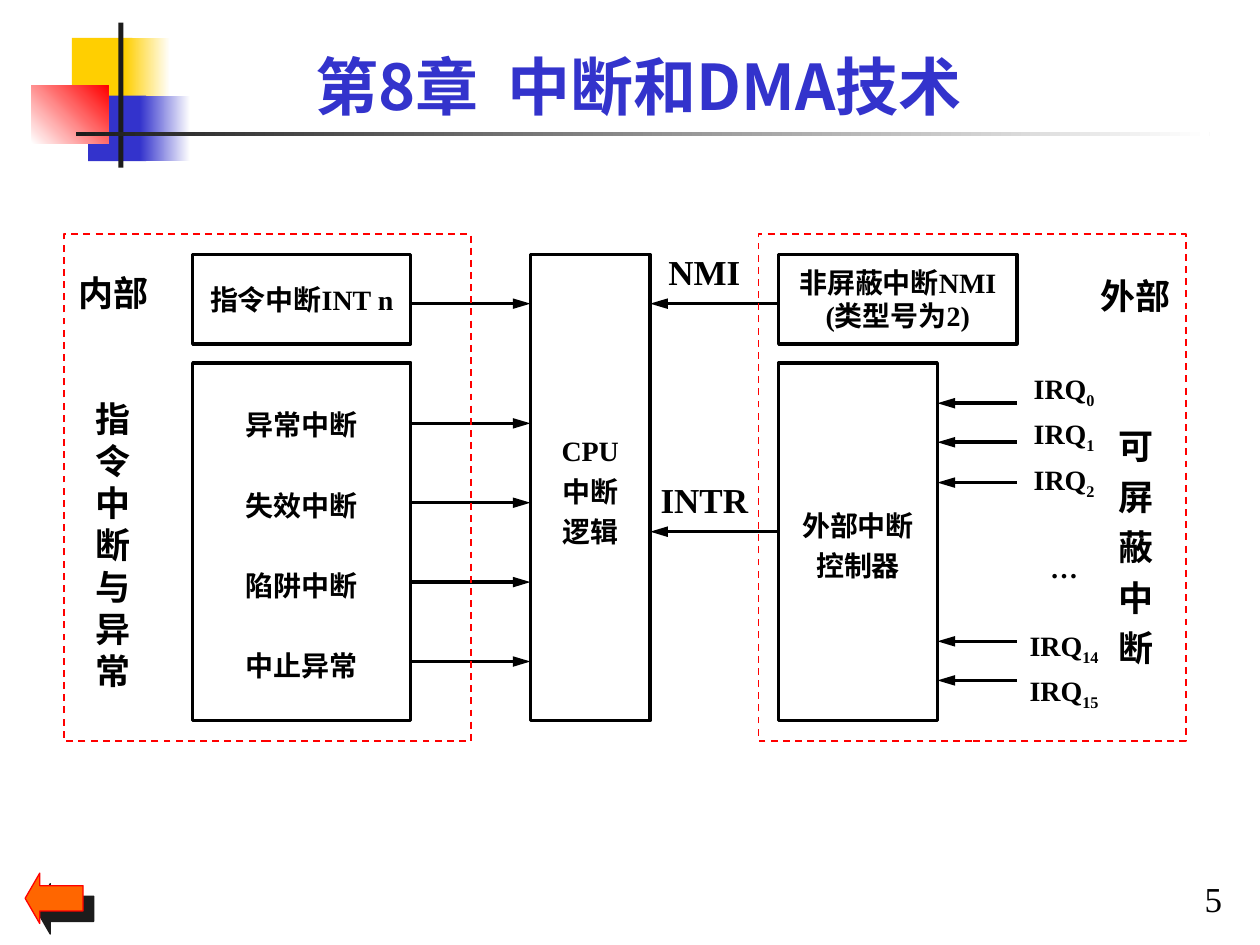
from pptx import Presentation
from pptx import util as u
from pptx.dml.color import RGBColor
from pptx.enum import dml, shapes, text
from pptx.oxml import parse_xml
from pptx.oxml.ns import nsdecls, qn

BLACK = RGBColor(0, 0, 0)
WHITE = RGBColor(255, 255, 255)
RED = RGBColor(255, 0, 0)
BLUE = RGBColor(0x33, 0x33, 0xCC)
YELLOW = RGBColor(0xFF, 0xCF, 0x01)
CHARCOAL = RGBColor(0x1C, 0x1C, 0x1C)
ORANGE = RGBColor(0xFF, 0x66, 0x00)
SERIF = "Times New Roman"
SANS = "Noto Sans CJK SC"


def write_text(shape, lines, size=16, bold=True, color=BLACK, font=SERIF, pitch=None, gaps=None):
    """Centre the lines; pitch is line height, gaps maps line index to space before,
    and an underscore in a line starts its subscript."""
    frame = shape.text_frame
    frame.margin_left = frame.margin_right = frame.margin_top = frame.margin_bottom = 0
    frame.vertical_anchor = text.MSO_ANCHOR.MIDDLE
    frame.word_wrap = False
    for index, line in enumerate(lines):
        paragraph = frame.paragraphs[0] if index == 0 else frame.add_paragraph()
        paragraph.alignment = text.PP_ALIGN.CENTER
        if pitch:
            paragraph.line_spacing = u.Pt(pitch)
        paragraph.space_before = u.Pt((gaps or {}).get(index, 0))
        for part, content in enumerate(line.split("_")):
            run = paragraph.add_run()
            run.text = content
            run.font.size = u.Pt(size)
            run.font.bold = bold
            run.font.name = font
            run.font.color.rgb = color
            properties = run.font._element
            east_asian = properties.makeelement(qn("a:ea"), {"typeface": SANS})
            properties.find(qn("a:latin")).addnext(east_asian)
            if part:
                properties.set("baseline", "-25000")


def add_block(box, fill=None, fade=None, angle=0, line=None, width=2, kind="RECTANGLE"):
    """Add a preset shape; fade is the end colour of a gradient that starts at fill."""
    shape = slide.shapes.add_shape(shapes.MSO_SHAPE[kind], *map(u.Inches, box))
    shape.shadow.inherit = False
    if fade is not None:
        shape.fill.gradient()
        shape.fill.gradient_angle = angle
        for stop, color in zip(shape.fill.gradient_stops, (fill, fade)):
            stop.color.rgb = color
    elif fill is not None:
        shape.fill.solid()
        shape.fill.fore_color.rgb = fill
    else:
        shape.fill.background()
    if line is None:
        shape.line.fill.background()
    else:
        shape.line.color.rgb = line
        shape.line.width = u.Pt(width)
    return shape


presentation = Presentation()
presentation.slide_width = u.Inches(10)
presentation.slide_height = u.Inches(7.5)
slide = presentation.slides.add_slide(presentation.slide_layouts[5])

title = slide.shapes.title
title.left, title.top, title.width, title.height = map(u.Inches, (1.38, 0.38, 7.38, 0.6))
write_text(title, ["第8章  中断和DMA技术"], size=36, color=BLUE, font=SANS)

# Corner ornament and title rule
add_block((0.57, 0.3, 0.48, 0.52), YELLOW)
add_block((0.99, 0.3, 0.36, 0.52), YELLOW, WHITE)
add_block((0.7, 0.76, 0.46, 0.52), BLUE)
add_block((1.11, 0.76, 0.4, 0.52), BLUE, WHITE)
add_block((0.25, 0.68, 0.61, 0.46), WHITE, RED, angle=45)
add_block((0.94, 0.18, 0.04, 1.15), CHARCOAL)
add_block((0.6, 1.05, 9, 0.03), CHARCOAL, WHITE)

# Diagram boxes
exceptions = ["异常中断", "失效中断", "陷阱中断", "中止异常"]
for box, lines, pitch, gaps in [
    ((1.53, 2.02, 1.73, 0.71), ["指令中断INT n"], 19, None),
    ((1.53, 2.88, 1.73, 2.84), exceptions, 23, {1: 23, 2: 23, 3: 23}),
    ((4.21, 2.02, 0.95, 3.7), ["CPU", "中断", "逻辑"], 23, None),
    ((6.18, 2.02, 1.89, 0.71), ["非屏蔽中断NMI", "(类型号为2)"], 19, None),
    ((6.18, 2.88, 1.26, 2.84), ["外部中断", "控制器"], 23, None),
]:
    write_text(add_block(box, line=BLACK), lines, pitch=pitch, gaps=gaps)

# Labels beside the boxes
for box, lines, size, pitch, gaps in [
    ((0.43, 2.15, 0.94, 3.34), ["内部", *"指令中断与异常"], 20, 24, {1: 48}),
    ((8.7, 2.11, 0.63, 3.2), ["外部", *"可屏蔽中断"], 20, 28.8, {1: 57}),
    ((5, 2.03, 1.18, 2.1), ["NMI", "INTR"], 20, 21, {1: 109}),
    ((8.1, 2.88, 0.69, 2.78), ["IRQ_0", "IRQ_1", "IRQ_2", "…", "IRQ_14", "IRQ_15"],
     16, 26, {3: 22, 4: 21}),
]:
    label = slide.shapes.add_textbox(*map(u.Inches, box))
    write_text(label, lines, size=size, pitch=pitch, gaps=gaps)

# Signal arrows, grouped by the boxes they run between
for start, end, heights in [
    (3.27, 4.21, (2.41, 3.36, 3.99, 4.62, 5.25)),
    (6.18, 5.16, (2.41, 4.22)),
    (8.07, 7.44, (3.2, 3.51, 3.83, 5.09, 5.4)),
]:
    for y in heights:
        arrow = slide.shapes.add_connector(
            shapes.MSO_CONNECTOR.STRAIGHT, *map(u.Inches, (start, y, end, y)))
        arrow.line.color.rgb = BLACK
        arrow.line.width = u.Pt(2)
        arrow.line._get_or_add_ln().append(
            parse_xml(f'<a:tailEnd {nsdecls("a")} type="triangle" w="med" len="lg"/>'))
        arrow._element.spPr.append(parse_xml(f'<a:effectLst {nsdecls("a")}/>'))

# Internal and external regions
for left, width in [(0.51, 3.23), (6.02, 3.39)]:
    region = add_block((left, 1.86, width, 4.02), line=RED, width=1)
    region.line.dash_style = dml.MSO_LINE.DASH

# Back arrow with a hard shadow
back = add_block((0.2, 6.93, 0.46, 0.4), ORANGE, line=RED, width=0.75, kind="LEFT_ARROW")
back.adjustments[1] = 0.29
back._element.spPr.find(qn("a:effectLst")).append(parse_xml(
    f'<a:outerShdw {nsdecls("a")} dist="107950" dir="2700000" algn="ctr" rotWithShape="0">'
    f'<a:srgbClr val="{CHARCOAL}"/></a:outerShdw>'))

page_number = slide.shapes.add_textbox(*map(u.Inches, (9.43, 6.96, 0.4, 0.34)))
write_text(page_number, ["5"], size=20, bold=False)

presentation.save("out.pptx")
